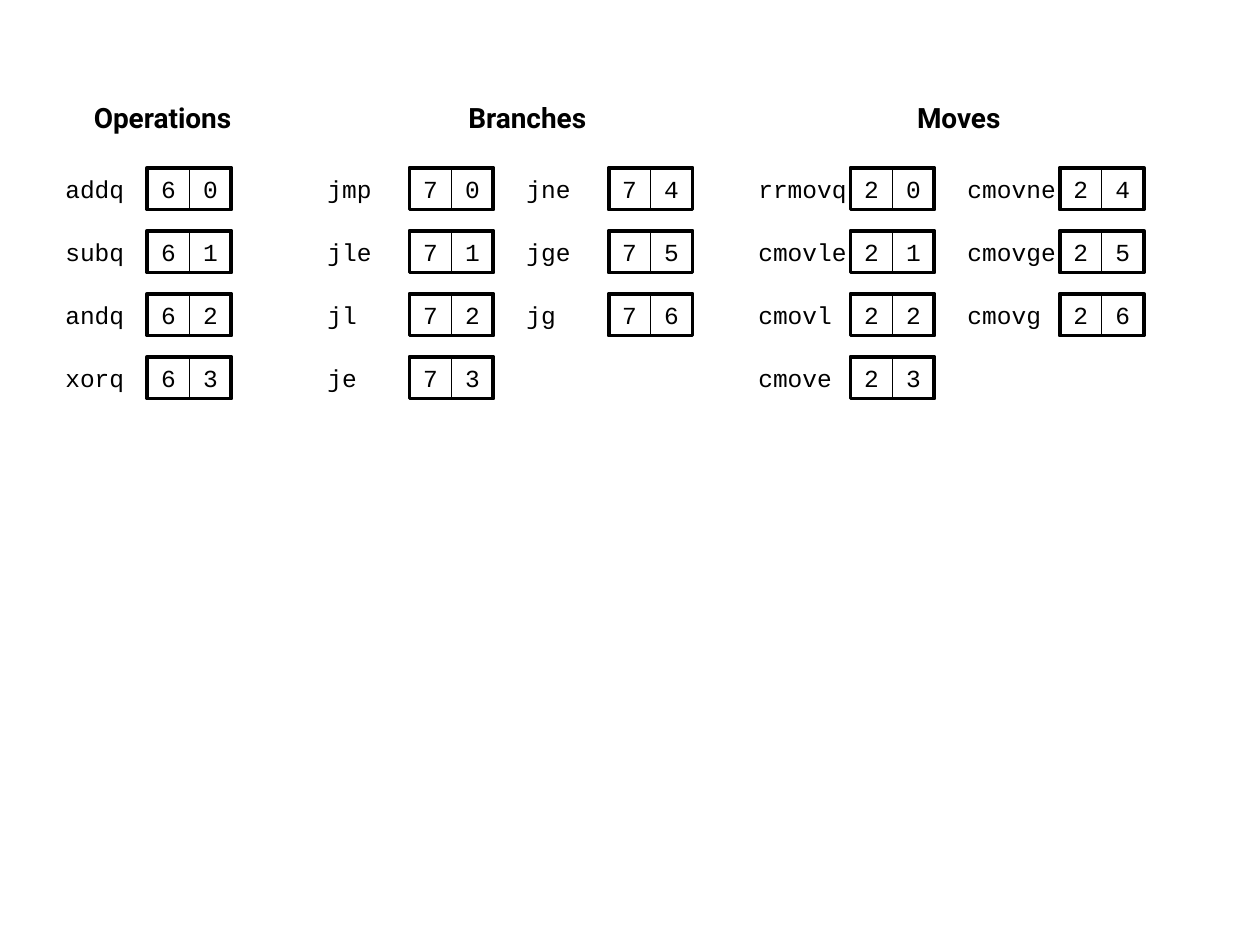
from pptx import Presentation
from pptx.dml.color import RGBColor
from pptx.enum.shapes import MSO_SHAPE
from pptx.enum.text import MSO_ANCHOR, MSO_AUTO_SIZE, PP_ALIGN
from pptx.util import Inches, Pt

BLACK = RGBColor(0x00, 0x00, 0x00)
WHITE = RGBColor(0xFF, 0xFF, 0xFF)
CODE_FONT = "Courier New"
HEADING_FONT = "Roboto"

# The function digit of an instruction is its place in the family, counted
# down the columns. Lengths are in inches; code_offset runs from label to code.
FAMILIES = [
    {
        "heading": "Operations", "heading_left": 0.33, "heading_width": 1.92,
        "wrap": True, "opcode": 6, "code_offset": 0.75,
        "columns": [(0.42, ["addq", "subq", "andq", "xorq"])],
    },
    {
        "heading": "Branches", "heading_left": 3.58, "heading_width": 1.21,
        "wrap": False, "opcode": 7, "code_offset": 0.75,
        "columns": [(2.5, ["jmp", "jle", "jl", "je"]),
                    (4.08, ["jne", "jge", "jg"])],
    },
    {
        "heading": "Moves", "heading_left": 7.16, "heading_width": 0.9,
        "wrap": False, "opcode": 2, "code_offset": 0.83,
        "columns": [(5.92, ["rrmovq", "cmovle", "cmovl", "cmove"]),
                    (7.58, ["cmovne", "cmovge", "cmovg"])],
    },
]

HEADING_TOP, HEADING_HEIGHT = 0.75, 0.37
FIRST_ROW, ROW_STEP = 1.33, 0.5
CELL = 1 / 3
LABEL_WIDTH = 2.08


def add_box(shapes, left, top, width, fill=WHITE, line_width=None):
    box = shapes.add_shape(MSO_SHAPE.RECTANGLE, Inches(left), Inches(top),
                           Inches(width), Inches(CELL))
    box.shadow.inherit = False
    if fill is None:
        box.fill.background()
    else:
        box.fill.solid()
        box.fill.fore_color.rgb = fill
    if line_width is None:
        box.line.fill.background()
    else:
        box.line.color.rgb = BLACK
        box.line.width = Pt(line_width)
    return box


def write(shape, text, font_name, size, align, bold=False, wrap=False):
    frame = shape.text_frame
    frame.word_wrap = wrap
    paragraph = frame.paragraphs[0]
    paragraph.text = text
    paragraph.alignment = align
    paragraph.font.name = font_name
    paragraph.font.size = Pt(size)
    paragraph.font.bold = bold
    paragraph.font.color.rgb = BLACK


def write_code(box, text, align):
    box.text_frame.vertical_anchor = MSO_ANCHOR.MIDDLE
    write(box, text, CODE_FONT, 14, align)


def add_instruction(slide, name, digits, left, top, code_offset):
    """Add a label and its encoding: one thin cell per digit, framed."""
    label = add_box(slide.shapes, left, top, LABEL_WIDTH)
    write_code(label, name, PP_ALIGN.LEFT)
    code = slide.shapes.add_group_shape().shapes
    code_left = left + code_offset
    for place, digit in enumerate(digits):
        cell = add_box(code, code_left + place * CELL, top, CELL, line_width=0.5)
        write_code(cell, str(digit), PP_ALIGN.CENTER)
    add_box(code, code_left, top, len(digits) * CELL, fill=None, line_width=2.25)


def add_heading(slide, family):
    heading = slide.shapes.add_textbox(
        Inches(family["heading_left"]), Inches(HEADING_TOP),
        Inches(family["heading_width"]), Inches(HEADING_HEIGHT))
    heading.text_frame.auto_size = MSO_AUTO_SIZE.SHAPE_TO_FIT_TEXT
    write(heading, family["heading"], HEADING_FONT, 16, PP_ALIGN.CENTER,
          bold=True, wrap=family["wrap"])


def main():
    prs = Presentation()
    prs.slide_width, prs.slide_height = Inches(10), Inches(7.5)
    slide = prs.slides.add_slide(prs.slide_layouts[6])
    for family in FAMILIES:
        function = 0
        for left, names in family["columns"]:
            for row, name in enumerate(names):
                add_instruction(slide, name, (family["opcode"], function), left,
                                FIRST_ROW + row * ROW_STEP, family["code_offset"])
                function += 1
        add_heading(slide, family)
    prs.save("out.pptx")


if __name__ == "__main__":
    main()
